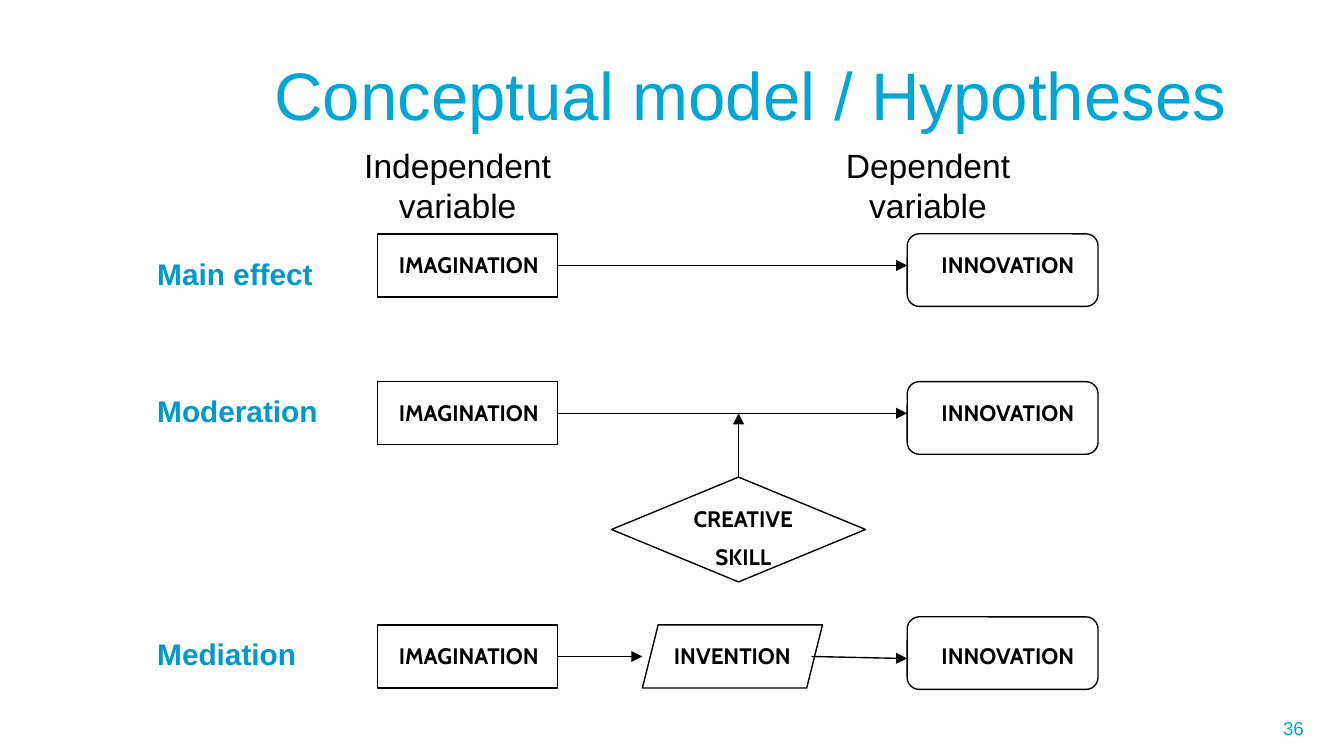
from lxml import etree
from pptx import Presentation
from pptx.dml.color import RGBColor
from pptx.enum.shapes import MSO_CONNECTOR, MSO_SHAPE
from pptx.enum.text import MSO_ANCHOR, MSO_AUTO_SIZE, PP_ALIGN
from pptx.oxml.ns import qn
from pptx.util import Inches, Pt

LEFT, CENTER, RIGHT = PP_ALIGN.LEFT, PP_ALIGN.CENTER, PP_ALIGN.RIGHT
TOP, MIDDLE = MSO_ANCHOR.TOP, MSO_ANCHOR.MIDDLE
FIT_SHAPE, FIXED = MSO_AUTO_SIZE.SHAPE_TO_FIT_TEXT, MSO_AUTO_SIZE.NONE
RECTANGLE, ROUNDED = MSO_SHAPE.RECTANGLE, MSO_SHAPE.ROUNDED_RECTANGLE
DIAMOND, PARALLELOGRAM = MSO_SHAPE.DIAMOND, MSO_SHAPE.PARALLELOGRAM
STRAIGHT = MSO_CONNECTOR.STRAIGHT
TOP_SITE, RIGHT_SITE = 0, 3

THEME = {
    "line": RGBColor(0, 0, 0),
    "line_width": Pt(0.75),
    "title": {"name": "Arial", "size": Pt(36), "bold": False, "color": RGBColor(0x00, 0xA6, 0xD6)},
    "number": {"name": "Arial", "size": Pt(10), "bold": False, "color": RGBColor(0x00, 0xA6, 0xD6)},
    "heading": {"name": "Arial", "size": Pt(18), "bold": False, "color": RGBColor(0, 0, 0)},
    "label": {"name": "Arial", "size": Pt(16), "bold": True, "color": RGBColor(0x00, 0x99, 0xCC)},
    "caption": {"name": "Cabin", "size": Pt(12), "bold": True, "color": RGBColor(0, 0, 0)},
}

COLUMNS = {"label": 1.17, "independent": 2.81, "mediator": 4.78, "dependent": 6.75}
ROWS = {"Main effect": 1.74, "Moderation": 2.84, "Mediation": 4.65}
LABEL_DROPS = {"Main effect": 0.11, "Moderation": 0.03, "Mediation": 0.03}
DEPENDENT_DROPS = {"Main effect": 0, "Moderation": 0, "Mediation": -0.06}
BOX_WIDTH, BOX_HEIGHT = 1.34, 0.47
DEPENDENT_WIDTH, DEPENDENT_HEIGHT = 1.42, 0.54
CAPTION_DROP = 0.08
INDEPENDENT_RIGHT = COLUMNS["independent"] + BOX_WIDTH

deck = Presentation()
deck.slide_width = Inches(10)
deck.slide_height = deck.slide_width * 9 // 16
page = deck.slides.add_slide(deck.slide_layouts[5])


def write(box, lines, style, align=CENTER, anchor=TOP, fit=FIT_SHAPE, hanging=False):
    frame = box.text_frame
    frame_format = {"word_wrap": True, "vertical_anchor": anchor, "auto_size": fit}
    if hanging:
        frame_format.update(margin_left=0, margin_right=0)
    for key, value in frame_format.items():
        setattr(frame, key, value)
    for index, line in enumerate(lines):
        para = frame.paragraphs[0] if index == 0 else frame.add_paragraph()
        para.alignment = align
        if hanging:
            para.space_before = Pt(THEME[style]["size"].pt / 2)
            properties = para._p.get_or_add_pPr()
            properties.set("marL", str(Inches(0.5)))
            properties.set("indent", str(Inches(-0.5)))
        span = para.add_run()
        span.text = line
        for key, value in THEME[style].items():
            if key == "color":
                span.font.color.rgb = value
            else:
                setattr(span.font, key, value)


def outline(item):
    item.line.color.rgb = THEME["line"]
    item.line.width = THEME["line_width"]


title = page.shapes.title
for key, value in {"left": 1.94, "top": 0.23, "width": 7.75, "height": 0.94}.items():
    setattr(title, key, Inches(value))
write(title, ["Conceptual model / Hypotheses"], "title", LEFT, MIDDLE, FIXED)

number = page.shapes.add_textbox(*map(Inches, (7.27, 5.27, 2.53, 0.3)))
write(number, ["36"], "number", RIGHT, MIDDLE, FIXED)

for left, heading in ((2.6, "Independent variable"), (6.1, "Dependent variable")):
    box = page.shapes.add_textbox(*map(Inches, (left, 1.03, 1.61, 0.71)))
    write(box, [heading], "heading")

outlines = [
    ("skill", DIAMOND, 4.55, 3.55, 1.89, 0.78),
    ("invention", PARALLELOGRAM, COLUMNS["mediator"], ROWS["Mediation"], BOX_WIDTH, BOX_HEIGHT),
]
texts = [
    (["CREATIVE", "SKILL"], "caption", CENTER, 5.02, 3.71, 1.02, 0.61),
    (["INVENTION"], "caption", CENTER, COLUMNS["mediator"],
     ROWS["Mediation"] + CAPTION_DROP, BOX_WIDTH, 0.3),
]
for effect, top in ROWS.items():
    outlines += [
        (effect, RECTANGLE, COLUMNS["independent"], top, BOX_WIDTH, BOX_HEIGHT),
        (effect + " outcome", ROUNDED, COLUMNS["dependent"], top + DEPENDENT_DROPS[effect],
         DEPENDENT_WIDTH, DEPENDENT_HEIGHT),
    ]
    texts += [
        ([effect], "label", LEFT, COLUMNS["label"], top + LABEL_DROPS[effect], 1.57, 0.37),
        (["IMAGINATION"], "caption", CENTER, 2.86, top + CAPTION_DROP, 1.26, 0.3),
        (["INNOVATION"], "caption", CENTER, COLUMNS["dependent"], top + CAPTION_DROP, 1.5, 0.28),
    ]

boxes = {}
for name, kind, *area in outlines:
    box = page.shapes.add_shape(kind, *map(Inches, area))
    box.shadow.inherit = False
    box.fill.background()
    outline(box)
    boxes[name] = box

for lines, style, align, *area in texts:
    box = page.shapes.add_textbox(*map(Inches, area))
    write(box, lines, style, align, hanging=True)

middles = {effect: top + BOX_HEIGHT / 2 for effect, top in ROWS.items()}
skill_center = 4.55 + 1.89 / 2
arrows = [
    (INDEPENDENT_RIGHT, middles[effect], COLUMNS[target], middles[effect], effect, RIGHT_SITE)
    for effect, target in (
        ("Main effect", "dependent"), ("Moderation", "dependent"), ("Mediation", "mediator"))
]
arrows += [
    (skill_center, 3.55, skill_center, middles["Moderation"], "skill", TOP_SITE),
    (6.04, middles["Mediation"], COLUMNS["dependent"], 4.9, None, None),
]
for *ends, source, site in arrows:
    arrow = page.shapes.add_connector(STRAIGHT, *map(Inches, ends))
    if source:
        arrow.begin_connect(boxes[source], site)
    outline(arrow)
    etree.SubElement(arrow.line._get_or_add_ln(), qn("a:tailEnd"), type="triangle")
    etree.SubElement(arrow._element.spPr, qn("a:effectLst"))

deck.save("out.pptx")
